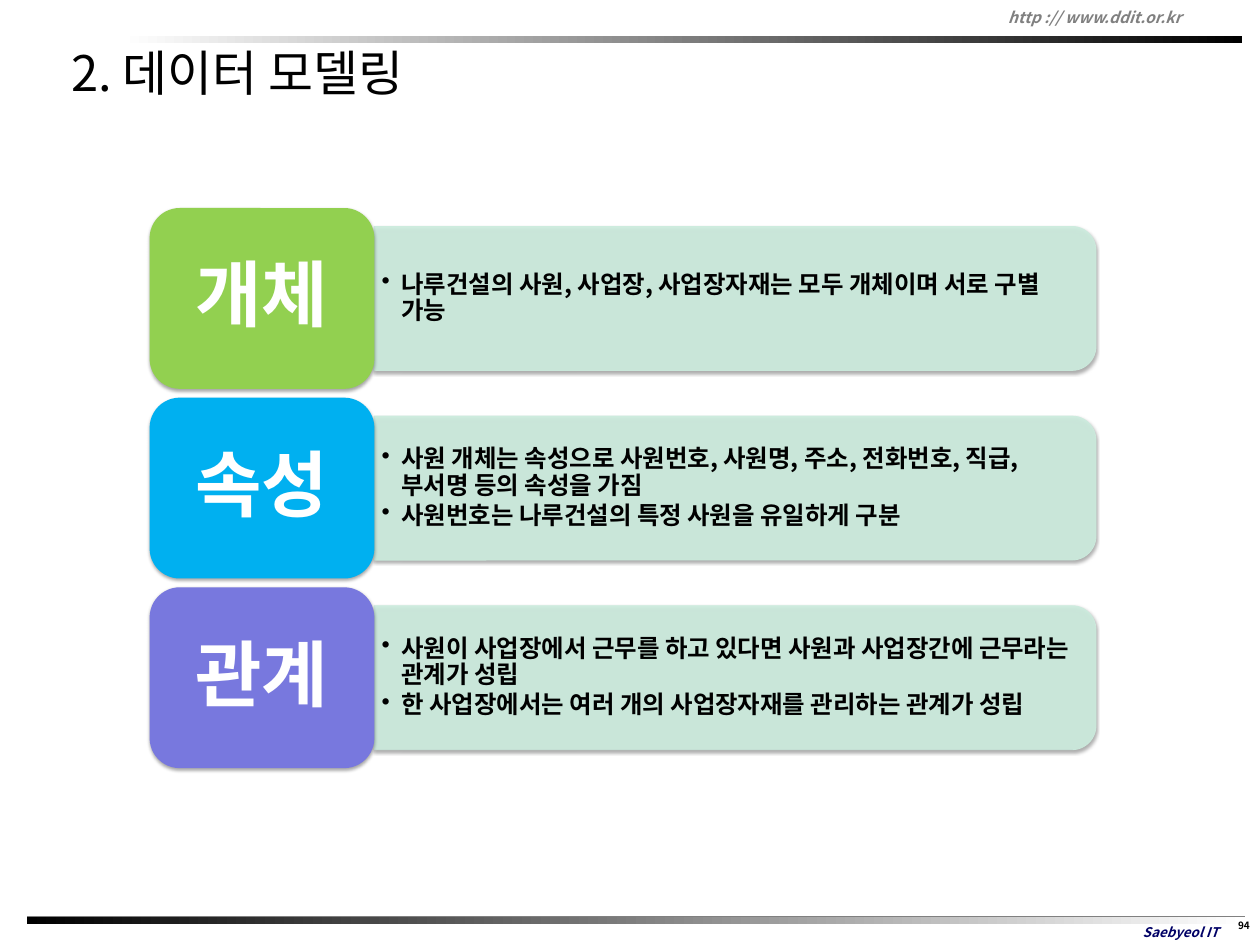
from lxml import etree
from pptx import Presentation
from pptx.dml.color import RGBColor
from pptx.enum.shapes import MSO_CONNECTOR, MSO_SHAPE
from pptx.enum.text import MSO_ANCHOR, MSO_AUTO_SIZE, PP_ALIGN
from pptx.oxml.ns import qn
from pptx.util import Inches, Pt

RECT, ROUND = MSO_SHAPE.RECTANGLE, MSO_SHAPE.ROUNDED_RECTANGLE
ROUND_TOP = MSO_SHAPE.ROUND_2_SAME_RECTANGLE
STRAIGHT = MSO_CONNECTOR.STRAIGHT
TOP, MIDDLE = MSO_ANCHOR.TOP, MSO_ANCHOR.MIDDLE
LEFT, CENTER = PP_ALIGN.LEFT, PP_ALIGN.CENTER
NO_FIT = MSO_AUTO_SIZE.NONE
FONT = "Noto Sans CJK KR"

ROWS = [
    ("개체", "92D050",
     ["나루건설의 사원, 사업장, 사업장자재는 모두 개체이며 서로 구별 가능"]),
    ("속성", "00B0F0",
     ["사원 개체는 속성으로 사원번호, 사원명, 주소, 전화번호, 직급, 부서명 등의 속성을 가짐",
      "사원번호는 나루건설의 특정 사원을 유일하게 구분"]),
    ("관계", "7878DE",
     ["사원이 사업장에서 근무를 하고 있다면 사원과 사업장간에 근무라는 관계가 성립",
      "한 사업장에서는 여러 개의 사업장자재를 관리하는 관계가 성립"]),
]


def rgb(value):
    return RGBColor.from_string(value)


def sub(parent, tag, **attrs):
    return etree.SubElement(parent, qn(tag), attrs)


def set_alpha(fill, percent):
    color = fill._xPr.find(".//" + qn("a:srgbClr"))
    sub(color, "a:alpha", val=str(percent * 1000))


def write(tf, lines, size, color="000000", bold=False, italic=False, align=LEFT,
          anchor=MIDDLE, wrap=True, insets=(0.1, 0.05), spacing=None, after=0,
          bullet=False):
    tf.word_wrap, tf.auto_size, tf.vertical_anchor = wrap, NO_FIT, anchor
    tf.margin_left = tf.margin_right = Inches(insets[0])
    tf.margin_top = tf.margin_bottom = Inches(insets[1])
    for i, line in enumerate(lines):
        p = tf.add_paragraph() if i else tf.paragraphs[0]
        p.alignment, p.line_spacing, p.space_after = align, spacing, Pt(after)
        if bullet:
            pPr = p._p.get_or_add_pPr()
            pPr.set("marL", str(Inches(0.25)))
            pPr.set("indent", str(Inches(-0.25)))
            sub(pPr, "a:buChar", char="•")
        r = p.add_run()
        r.text = line
        font = r.font
        font.name, font.size, font.bold, font.italic = FONT, Pt(size), bold, italic
        font.color.rgb = rgb(color)
        sub(r._r.get_or_add_rPr(), "a:ea", typeface=FONT)


class Deck:
    def __init__(self, width, height):
        self.prs = Presentation()
        self.prs.slide_width, self.prs.slide_height = Inches(width), Inches(height)
        self.s = self.prs.slides.add_slide(self.prs.slide_layouts[5])

    def title(self, text, box, **style):
        sp = self.s.shapes.title
        sp.left, sp.top, sp.width, sp.height = map(Inches, box)
        write(sp.text_frame, [text], **style)

    def text(self, lines, box, **style):
        sp = self.s.shapes.add_textbox(*map(Inches, box))
        write(sp.text_frame, lines, **style)

    def shape(self, kind, box):
        sp = self.s.shapes.add_shape(kind, *map(Inches, box))
        sp.shadow.inherit = False
        sp.line.fill.background()
        return sp

    def gradient_bar(self, box, colors):
        sp = self.shape(RECT, box)
        sp.fill.gradient()
        sp.fill.gradient_angle = 0
        for stop, color in zip(sp.fill.gradient_stops, colors):
            stop.color.rgb = rgb(color)

    def card(self, kind, box, color):
        sp = self.shape(kind, box)
        sp.fill.solid()
        sp.fill.fore_color.rgb = rgb(color)
        effects = sp._element.spPr.find(qn("a:effectLst"))
        shadow = sub(effects, "a:outerShdw", blurRad=str(Pt(3.1)), dist=str(Pt(1.8)),
                     dir="5400000", rotWithShape="0")
        sub(sub(shadow, "a:srgbClr", val="000000"), "a:alpha", val="35000")
        return sp

    def panel(self, box, color):
        sp = self.card(ROUND_TOP, box, color)
        sp.rotation = 90
        sp.line.width = Pt(0.75)
        sp.line.color.rgb = rgb(color)
        set_alpha(sp.fill, 90)
        set_alpha(sp.line.fill, 90)

    def line(self, x1, y1, x2, y2, color, width):
        cxn = self.s.shapes.add_connector(STRAIGHT, *map(Inches, (x1, y1, x2, y2)))
        cxn.line.color.rgb, cxn.line.width = rgb(color), Pt(width)
        sub(cxn._element.spPr, "a:effectLst")


def main():
    deck = Deck(15.75, 11.81)

    # Header and footer
    deck.line(0.34, 11.46, 15.56, 11.46, "808080", 1.5)
    deck.gradient_bar((0.34, 11.46, 15.22, 0.09), ("000000", "FFFFFF"))
    deck.text(["Saebyeol IT"], (13.81, 11.48, 1.9, 0.33), size=12, color="000066",
              bold=True, italic=True, align=CENTER)
    deck.gradient_bar((1.52, 0.45, 14, 0.09), ("FFFFFF", "000000"))
    deck.text(["http :// www.ddit.or.kr"], (12.5, 0.02, 3.21, 0.38), size=14,
              color="808080", bold=True, italic=True)
    deck.text(["94"], (15.41, 11.44, 0.28, 0.31), size=9, bold=True, align=CENTER,
              anchor=TOP, wrap=False)

    # Title
    deck.title("2. 데이터 모델링", (0.79, 0.47, 14.17, 0.87), size=44)

    # One row per concept: panel, bullets, label
    label_w, label_h, panel_w, panel_h, text_h = 2.81, 2.26, 9.02, 1.8, 1.63
    left, top, pitch = 1.87, 2.6, 2.37
    panel_left = left + label_w
    for i, (label, color, bullets) in enumerate(ROWS):
        y = top + i * pitch
        middle = y + label_h / 2
        deck.panel((panel_left + (panel_w - panel_h) / 2, middle - panel_w / 2,
                    panel_h, panel_w), "CCECDE")
        deck.text(bullets, (panel_left, middle - text_h / 2, 8.93, text_h), size=22,
                  bold=True, insets=(0.09, 0.05), spacing=0.9, after=3.3, bullet=True)
        sp = deck.card(ROUND, (left, y, label_w, label_h), color)
        write(sp.text_frame, [label], size=65, color="FFFFFF", bold=True, align=CENTER,
              insets=(0.27, 0.14), spacing=0.9)

    deck.prs.save("out.pptx")


if __name__ == "__main__":
    main()
